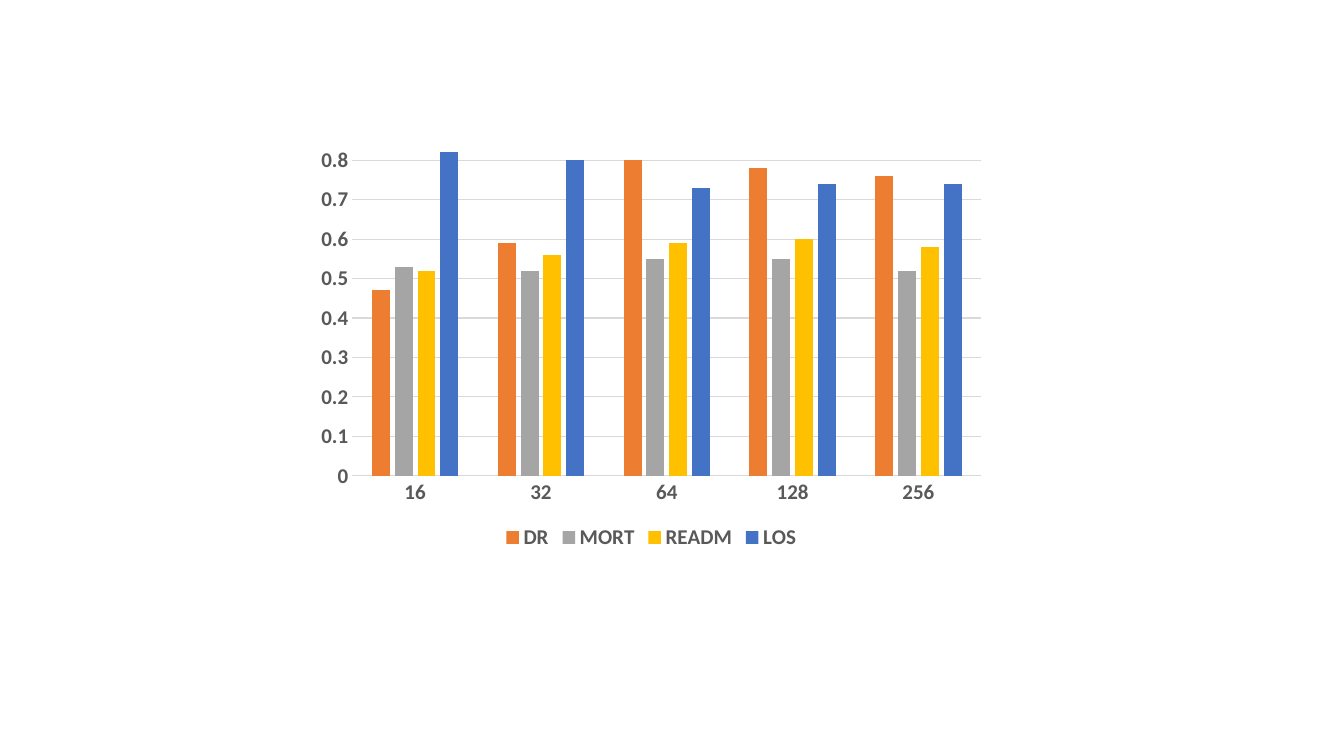
from pptx import Presentation
from pptx.chart.data import CategoryChartData
from pptx.dml.color import RGBColor
from pptx.enum.chart import XL_CHART_TYPE, XL_LEGEND_POSITION, XL_TICK_MARK
from pptx.util import Inches, Pt

TEXT_GREY = RGBColor(0x59, 0x59, 0x59)
LINE_GREY = RGBColor(0xD9, 0xD9, 0xD9)
ORANGE = RGBColor(0xED, 0x7D, 0x31)
GREY = RGBColor(0xA5, 0xA5, 0xA5)
YELLOW = RGBColor(0xFF, 0xC0, 0x00)
BLUE = RGBColor(0x44, 0x72, 0xC4)

SCORES = {
    "DR": (ORANGE, (0.47, 0.59, 0.8, 0.78, 0.76)),
    "MORT": (GREY, (0.53, 0.52, 0.55, 0.55, 0.52)),
    "READM": (YELLOW, (0.52, 0.56, 0.59, 0.6, 0.58)),
    "LOS": (BLUE, (0.82, 0.8, 0.73, 0.74, 0.74)),
}

presentation = Presentation()
presentation.slide_width = Inches(13.33)
presentation.slide_height = Inches(7.5)
slide = presentation.slides.add_slide(presentation.slide_layouts[6])

chart_data = CategoryChartData()
chart_data.categories = ["16", "32", "64", "128", "256"]
for name, (color, values) in SCORES.items():
    chart_data.add_series(name, values)

chart = slide.shapes.add_chart(
    XL_CHART_TYPE.COLUMN_CLUSTERED,
    Inches(3.05), Inches(1.31), Inches(6.82), Inches(4.19), chart_data,
).chart
chart.has_title = False
chart.has_legend = True
chart.legend.position = XL_LEGEND_POSITION.BOTTOM
chart.legend.include_in_layout = False

FONT_FORMAT = {"name": "Calibri", "size": Pt(15), "bold": True}
for font in (
    chart.font,
    chart.legend.font,
    chart.category_axis.tick_labels.font,
    chart.value_axis.tick_labels.font,
):
    for attribute, value in FONT_FORMAT.items():
        setattr(font, attribute, value)
    font.color.rgb = TEXT_GREY

plot = chart.plots[0]
plot.gap_width = 219
plot.overlap = -27
plot.vary_by_categories = False
for series, (color, values) in zip(plot.series, SCORES.values()):
    series.format.fill.solid()
    series.format.fill.fore_color.rgb = color
    series.invert_if_negative = False

for axis in (chart.category_axis, chart.value_axis):
    axis.major_tick_mark = XL_TICK_MARK.NONE
    axis.minor_tick_mark = XL_TICK_MARK.NONE

value_axis = chart.value_axis
value_axis.minimum_scale = 0
value_axis.maximum_scale = 0.85
value_axis.major_unit = 0.1
value_axis.has_major_gridlines = True
value_axis.tick_labels.number_format = "General"
value_axis.tick_labels.number_format_is_linked = False
value_axis.format.line.fill.background()

for line in (chart.category_axis.format.line, value_axis.major_gridlines.format.line):
    line.color.rgb = LINE_GREY
    line.width = Pt(0.75)

presentation.save("out.pptx")
